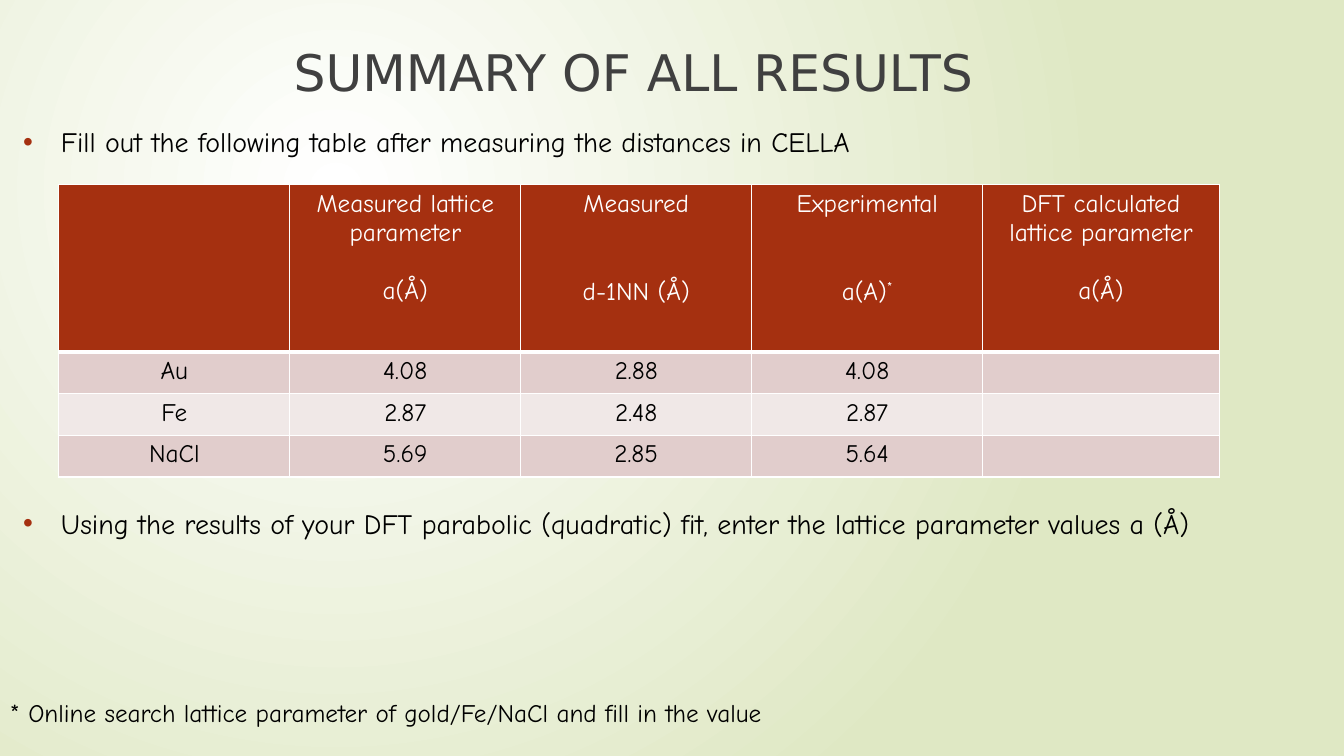
from dataclasses import dataclass

from lxml.etree import SubElement
from pptx import Presentation
from pptx.dml.color import RGBColor as RGB
from pptx.enum.text import MSO_ANCHOR as Anchor, PP_ALIGN as Align
from pptx.oxml import parse_xml
from pptx.oxml.ns import nsdecls, qn
from pptx.util import Pt


@dataclass(frozen=True)
class Theme:
    heading_font: str = "DejaVu Sans"
    body_font: str = "Comic Neue"
    heading: str = "404040"
    ink: str = "000000"
    white: str = "FFFFFF"
    accent: str = "A53010"
    bands: tuple = ("E1CDCC", "F0E8E7")
    backdrop: str = "DFE8C4"
    title_size: int = 36
    bullet_size: int = 20
    small_size: int = 18


THEME = Theme()
HEADINGS = [
    (["Measured lattice parameter", "a(Å)"], 21, ""),
    (["Measured", "d-1NN (Å)"], 42, ""),
    (["Experimental", "a(A)"], 42, "*"),
    (["DFT calculated", "lattice parameter", "a(Å)"], 21, ""),
]
RESULTS = [
    ("Au", "4.08", "2.88", "4.08", ""),
    ("Fe", "2.87", "2.48", "2.87", ""),
    ("NaCl", "5.69", "2.85", "5.64", ""),
]


def add_text(paragraph, text, *, size=THEME.small_size, color=THEME.ink,
             font=THEME.body_font, align=Align.LEFT, before=0, raised=False):
    paragraph.alignment = align
    paragraph.space_before = Pt(before)
    run = paragraph.add_run()
    run.text = text
    run.font.size = Pt(size)
    run.font.name = font
    run.font.bold = False
    run.font.color.rgb = RGB.from_string(color)
    if raised:
        run.font._element.set("baseline", "30000")


def next_paragraph(frame, index):
    return frame.add_paragraph() if index else frame.paragraphs[0]


def add_frame(slide, left, top, width, height, wrap=True):
    frame = slide.shapes.add_textbox(Pt(left), Pt(top), Pt(width), Pt(height)).text_frame
    frame.word_wrap = wrap
    frame.vertical_anchor = Anchor.TOP
    return frame


def add_bullet(paragraph):
    properties = paragraph._p.get_or_add_pPr()
    properties.set("marL", str(Pt(27)))
    properties.set("indent", str(-Pt(27)))
    bullet_color = SubElement(properties, qn("a:buClr"))
    SubElement(bullet_color, qn("a:srgbClr"), val=THEME.accent)
    SubElement(properties, qn("a:buFont"), typeface="Arial")
    SubElement(properties, qn("a:buChar"), char="•")


def paint_background(slide):
    fill = slide.background.fill
    fill.gradient()
    for stop, color in zip(fill.gradient_stops, (THEME.white, THEME.backdrop)):
        stop.color.rgb = RGB.from_string(color)
    gradient = slide.background._cSld.find(".//" + qn("a:gradFill"))
    gradient.replace(gradient.find(qn("a:lin")), parse_xml(
        f'<a:path {nsdecls("a")} path="circle">'
        '<a:fillToRect l="50000" t="50000" r="100000" b="100000"/></a:path>'))


def style_cell(cell, color, bottom_width=1):
    cell.fill.solid()
    cell.fill.fore_color.rgb = RGB.from_string(color)
    properties = cell._tc.get_or_add_tcPr()
    for position, side in enumerate("LRTB"):
        width = bottom_width if side == "B" else 1
        properties.insert(position, parse_xml(
            f'<a:ln{side} {nsdecls("a")} w="{Pt(width)}"><a:solidFill>'
            f'<a:srgbClr val="{THEME.white}"/></a:solidFill></a:ln{side}>'))


def add_heading(cell, lines, gap, mark):
    frame = cell.text_frame
    for index, line in enumerate(lines):
        is_symbol = index == len(lines) - 1
        paragraph = next_paragraph(frame, index)
        look = dict(color=THEME.white, align=Align.CENTER, before=gap if is_symbol else 0)
        add_text(paragraph, line, **look)
        if is_symbol and mark:
            add_text(paragraph, mark, raised=True, **look)


def add_results_table(slide):
    widths = [165, 165, 165, 165, 169]
    heights = [119.5] + [29.8] * len(RESULTS)
    table = slide.shapes.add_table(len(heights), len(widths), Pt(42), Pt(131.8),
                                   Pt(sum(widths)), Pt(sum(heights))).table
    for column, width in zip(table.columns, widths):
        column.width = Pt(width)
    for row, height in zip(table.rows, heights):
        row.height = Pt(height)
    for column in range(len(widths)):
        style_cell(table.cell(0, column), THEME.accent, bottom_width=3)
    for column, heading in enumerate(HEADINGS, 1):
        add_heading(table.cell(0, column), *heading)
    for row, values in enumerate(RESULTS, 1):
        for column, value in enumerate(values):
            cell = table.cell(row, column)
            style_cell(cell, THEME.bands[(row - 1) % 2])
            if value:
                add_text(cell.text_frame.paragraphs[0], value, align=Align.CENTER)


def add_instructions(slide):
    frame = add_frame(slide, 9.4, 85.7, 864.7, 423.4)
    instructions = [
        ("Fill out the following table after measuring the distances in CELLA", 0),
        ("Using the results of your DFT parabolic (quadratic) fit, "
         "enter the lattice parameter values a (Å)", 248.5),
    ]
    for index, (text, gap) in enumerate(instructions):
        paragraph = next_paragraph(frame, index)
        add_text(paragraph, text, size=THEME.bullet_size, before=gap)
        add_bullet(paragraph)


def main():
    deck = Presentation()
    deck.slide_width, deck.slide_height = Pt(960), Pt(540)
    slide = deck.slides.add_slide(deck.slide_layouts[6])
    paint_background(slide)
    add_instructions(slide)
    title = add_frame(slide, 101.5, 26, 702, 100.8)
    add_text(title.paragraphs[0], "SUMMARY OF ALL RESULTS", size=THEME.title_size,
             color=THEME.heading, font=THEME.heading_font, align=Align.CENTER)
    add_results_table(slide)
    footnote = add_frame(slide, 0, 494.6, 613.4, 28.8, wrap=False)
    add_text(footnote.paragraphs[0],
             "* Online search lattice parameter of gold/Fe/NaCl and fill in the value")
    deck.save("out.pptx")


if __name__ == "__main__":
    main()
